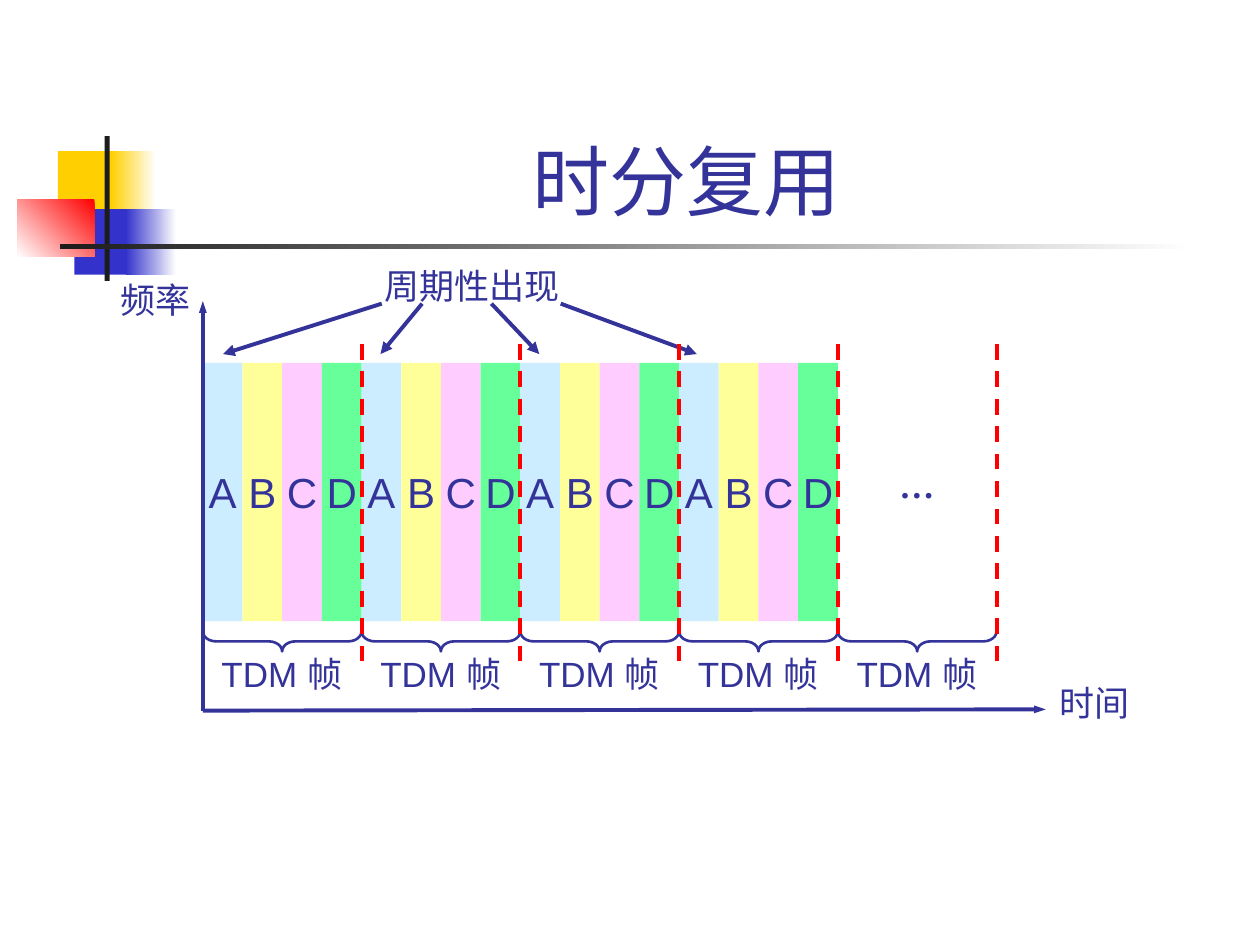
from dataclasses import dataclass

from lxml import etree
from pptx import Presentation
from pptx.dml.color import RGBColor
from pptx.enum.dml import MSO_LINE_DASH_STYLE as Dash
from pptx.enum.shapes import MSO_CONNECTOR, MSO_SHAPE
from pptx.enum.text import MSO_ANCHOR, MSO_AUTO_SIZE, PP_ALIGN
from pptx.oxml.ns import qn
from pptx.util import Inches, Pt

INK = "333399"
RED = "FF0000"
WHITE = "FFFFFF"
AXIS_X, AXIS_Y = 1.61, 5.64
SLOT_WIDTH = 0.315
SLOT_TOP, SLOT_HEIGHT = 2.88, 2.05
SLOTS = {"A": "CCECFF", "B": "FFFF99", "C": "FFCCFF", "D": "66FF99"}
FRAME_WIDTH = SLOT_WIDTH * len(SLOTS)
FILLED_FRAMES, ALL_FRAMES = 4, 5
BRACE_MIDDLE, BRACE_DEPTH = 5.09, 0.16


@dataclass
class Block:
    left: float
    top: float
    width: float
    height: float
    colors: tuple[str, ...]
    angle: float = 180


@dataclass
class Label:
    text: str
    left: float
    top: float
    width: float
    height: float = 0.4
    font: str = "Times New Roman"
    size: float = 20
    bold: bool = False
    spacing: float = 0.9
    align: PP_ALIGN = PP_ALIGN.LEFT
    anchor: MSO_ANCHOR = MSO_ANCHOR.TOP


@dataclass
class Line:
    start: tuple[float, float]
    end: tuple[float, float]
    color: str = INK
    head_width: str = "med"
    arrow: bool = True
    dashed: bool = False


DECORATION = [
    Block(0.46, 1.2, 0.48, 0.52, ("FFCF01",)),
    Block(0.88, 1.2, 0.36, 0.52, (WHITE, "FFCF01")),
    Block(0.59, 1.66, 0.46, 0.52, ("3333CC",)),
    Block(1, 1.66, 0.4, 0.52, (WHITE, "3333CC")),
    Block(0.14, 1.58, 0.61, 0.46, (RED, WHITE), 225),
    Block(0.83, 1.08, 0.04, 1.15, ("1C1C1C",)),
    Block(0.48, 1.94, 9, 0.04, (WHITE, "1C1C1C")),
]
LABELS = [
    Label("时分复用 ", 1.26, 0.24, 8.52, 1.6, "Arial", 44, spacing=1,
          align=PP_ALIGN.CENTER, anchor=MSO_ANCHOR.BOTTOM),
    Label("频率", 0.86, 2.2, 0.8),
    Label("时间", 8.31, 5.4, 0.8),
    Label("周期性出现", 2.95, 2.09, 1.62),
    Label("…", 7.04, 3.63, 0.48, 0.43, bold=True, spacing=1),
]
ARROWS = [
    Line((AXIS_X, AXIS_Y), (8.3, 5.63), head_width="sm"),
    Line((AXIS_X, AXIS_Y), (AXIS_X, 2.39), head_width="sm"),
    Line((3.03, 2.41), (1.77, 2.81)),
    Line((3.35, 2.41), (3.02, 2.81)),
    Line((3.9, 2.41), (4.28, 2.81)),
    Line((4.45, 2.41), (5.53, 2.81)),
]


def rgb(color: str) -> RGBColor:
    return RGBColor.from_string(color)


def add_block(slide, block: Block):
    shape = slide.shapes.add_shape(
        MSO_SHAPE.RECTANGLE, Inches(block.left), Inches(block.top),
        Inches(block.width), Inches(block.height))
    shape.shadow.inherit = False
    shape.line.fill.background()
    if len(block.colors) == 1:
        shape.fill.solid()
        shape.fill.fore_color.rgb = rgb(block.colors[0])
    else:
        shape.fill.gradient()
        shape.fill.gradient_angle = block.angle
        for stop, color in zip(shape.fill.gradient_stops, block.colors):
            stop.color.rgb = rgb(color)
    return shape


def style_paragraph(paragraph, font: str, size: float) -> None:
    paragraph.font.name = font
    paragraph.font.size = Pt(size)
    paragraph.font.color.rgb = rgb(INK)


def add_label(slide, label: Label) -> None:
    box = slide.shapes.add_textbox(
        Inches(label.left), Inches(label.top),
        Inches(label.width), Inches(label.height))
    frame = box.text_frame
    centered = label.align == PP_ALIGN.CENTER
    frame.word_wrap = centered
    frame.auto_size = MSO_AUTO_SIZE.NONE if centered else MSO_AUTO_SIZE.SHAPE_TO_FIT_TEXT
    frame.vertical_anchor = label.anchor
    paragraph = frame.paragraphs[0]
    paragraph.text = label.text
    paragraph.alignment = label.align
    paragraph.line_spacing = label.spacing
    style_paragraph(paragraph, label.font, label.size)
    paragraph.font.bold = label.bold


def add_slot(slide, letter: str, left: float) -> None:
    shape = add_block(slide, Block(left, SLOT_TOP, SLOT_WIDTH, SLOT_HEIGHT, (SLOTS[letter],)))
    frame = shape.text_frame
    frame.word_wrap = False
    frame.vertical_anchor = MSO_ANCHOR.MIDDLE
    paragraph = frame.paragraphs[0]
    paragraph.text = letter
    paragraph.alignment = PP_ALIGN.CENTER
    style_paragraph(paragraph, "Arial", 24)


def add_line(slide, line: Line) -> None:
    connector = slide.shapes.add_connector(
        MSO_CONNECTOR.STRAIGHT, *map(Inches, line.start + line.end))
    connector.line.color.rgb = rgb(line.color)
    connector.line.width = Pt(2.25)
    if line.dashed:
        connector.line.dash_style = Dash.DASH
    if line.arrow:
        etree.SubElement(connector.line._get_or_add_ln(), qn("a:tailEnd"),
                         type="triangle", w=line.head_width, len="med")
    etree.SubElement(connector._element.spPr, qn("a:effectLst"))


def add_brace(slide, left: float) -> None:
    """Draw a brace below one frame, pointing down."""
    shape = slide.shapes.add_shape(
        MSO_SHAPE.LEFT_BRACE,
        Inches(left + (FRAME_WIDTH - BRACE_DEPTH) / 2),
        Inches(BRACE_MIDDLE - FRAME_WIDTH / 2),
        Inches(BRACE_DEPTH), Inches(FRAME_WIDTH))
    shape.rotation = 270
    shape.adjustments[0] = 0.66
    shape.shadow.inherit = False
    shape.fill.background()
    shape.line.color.rgb = rgb(INK)
    shape.line.width = Pt(1.5)


def main() -> None:
    presentation = Presentation()
    presentation.slide_width = Inches(10)
    presentation.slide_height = Inches(7.5)
    slide = presentation.slides.add_slide(presentation.slide_layouts[6])

    for block in DECORATION:
        add_block(slide, block)
    frame_lefts = [AXIS_X + index * FRAME_WIDTH for index in range(ALL_FRAMES)]
    for left in frame_lefts[:FILLED_FRAMES]:
        for index, letter in enumerate(SLOTS):
            add_slot(slide, letter, left + index * SLOT_WIDTH)
    for label in LABELS:
        add_label(slide, label)
    for arrow in ARROWS:
        add_line(slide, arrow)
    for left in frame_lefts:
        add_label(slide, Label("TDM 帧", left + 0.05, 5.17, 1.27, font="Arial"))
        add_brace(slide, left)
    for left in frame_lefts:
        right = left + FRAME_WIDTH
        add_line(slide, Line((right, 2.73), (right, 5.32), RED, arrow=False, dashed=True))

    presentation.save("out.pptx")


if __name__ == "__main__":
    main()
